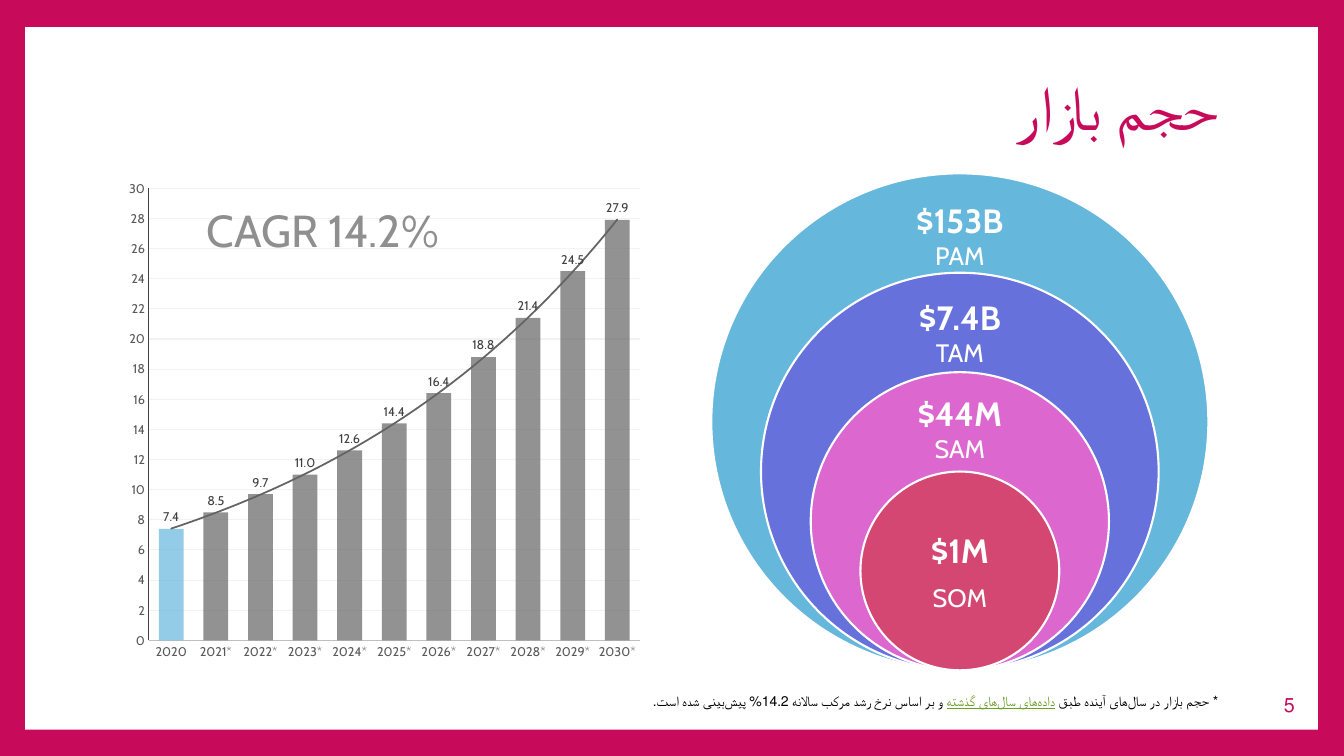
"""Build the market size slide: a growth chart beside nested market circles."""
from lxml.etree import SubElement
from pptx import Presentation
from pptx.chart.data import CategoryChartData
from pptx.dml.color import RGBColor
from pptx.enum.chart import XL_CHART_TYPE, XL_LABEL_POSITION, XL_TICK_MARK
from pptx.enum.shapes import MSO_SHAPE
from pptx.enum.text import MSO_ANCHOR, PP_ALIGN
from pptx.oxml import parse_xml
from pptx.oxml.ns import nsdecls, qn
from pptx.util import Inches, Pt

WIDTH, HEIGHT = 13.33, 7.5
COLORS = {
    "brand": "C80A5A", "white": "FFFFFF", "black": "000000", "link": "6B9F25",
    "bar": "646464", "first_bar": "66B7DC", "growth": "8F8F8F", "label": "404040",
    "tick": "595959", "baseline": "BFBFBF", "grid": "F2F2F2",
    "PAM": "66B7DC", "TAM": "6771DC", "SAM": "DC67CE", "SOM": "D54773",
}
NON_JOINER = chr(0x200C)
YEARS_WORD = f"سال{NON_JOINER}های"
TITLE = "حجم بازار"
FOOTNOTE = [
    (f"* حجم بازار در {YEARS_WORD} آینده طبق ", {}),
    (f"داده{NON_JOINER}های {YEARS_WORD} گذشته", {"color": "link", "underline": True}),
    (f" و بر اساس نرخ رشد مرکب سالانه 14.2% پیش{NON_JOINER}بینی شده است.", {}),
]
GROWTH = "CAGR 14.2%"
PAGE = "5"
MARKETS = [("$153B", "PAM"), ("$7.4B", "TAM"), ("$44M", "SAM"), ("$1M", "SOM")]
LABEL_BOXES = [(1.96, 0.74), (2.94, 0.71), (3.91, 0.67), (5.17, 0.99)]
SIZES = [7.4, 8.5, 9.7, 11, 12.6, 14.4, 16.4, 18.8, 21.4, 24.5, 27.9]
YEARS = ["2020"] + [f"{year}*" for year in range(2021, 2031)]

CONTENT_LEFT, CONTENT_TOP, CONTENT_RIGHT = 1.16, 1.72, 12.18
CONTENT_HEIGHT = 4.93
CIRCLE_CENTER = 9.52
LABEL_WIDTH = 1.38
PLOT_SHARES = {"x": 0.06, "y": 0.03, "w": 0.92, "h": 0.91}


def rgb(name):
    return RGBColor.from_string(COLORS[name])


def inches(*lengths):
    return [Inches(length) for length in lengths]


def add_text(slide, box, paragraphs, size=10, font="Cabin", color="black", align=PP_ALIGN.LEFT,
             anchor=MSO_ANCHOR.TOP, rtl=False, inset=None, space_after=0):
    shape = slide.shapes.add_textbox(*inches(*box))
    frame = shape.text_frame
    frame.word_wrap = True
    frame.vertical_anchor = anchor
    if inset is not None:
        frame.margin_left = frame.margin_right = Inches(inset)
        frame.margin_top = frame.margin_bottom = Inches(inset)
    for index, runs in enumerate(paragraphs):
        paragraph = frame.add_paragraph() if index else frame.paragraphs[0]
        paragraph.alignment = align
        paragraph.space_after = Pt(space_after)
        if rtl:
            paragraph._p.get_or_add_pPr().set("rtl", "1")
        for text, style in runs:
            run = paragraph.add_run()
            run.text = text
            run.font.name = font
            run.font.size = Pt(style.get("size", size))
            run.font.bold = style.get("bold", False)
            run.font.underline = style.get("underline", False)
            run.font.color.rgb = rgb(style.get("color", color))
    return shape


def add_circle(slide, diameter, color):
    bottom = CONTENT_TOP + CONTENT_HEIGHT
    box = (CIRCLE_CENTER - diameter / 2, bottom - diameter, diameter, diameter)
    shape = slide.shapes.add_shape(MSO_SHAPE.OVAL, *inches(*box))
    shape.shadow.inherit = False
    shape.fill.solid()
    shape.fill.fore_color.rgb = rgb(color)
    shape.line.color.rgb = rgb("white")
    shape.line.width = Pt(1.5)


def add_markets(slide):
    for index, (amount, name) in enumerate(MARKETS):
        add_circle(slide, CONTENT_HEIGHT * (1 - index / 5), name)
        top, height = LABEL_BOXES[index]
        big, small = {"size": 24, "bold": True}, {"size": 18}
        if index == len(MARKETS) - 1:
            paragraphs = [[(amount, big)], [(name, small)]]
        else:
            paragraphs = [[(amount + " ", big), (name, small)]]
        add_text(slide, (CIRCLE_CENTER - LABEL_WIDTH / 2, top, LABEL_WIDTH, height), paragraphs,
                 color="white", align=PP_ALIGN.CENTER, anchor=MSO_ANCHOR.MIDDLE,
                 inset=0.19, space_after=8.4)


def style_font(font, size, color):
    font.name = "Cabin"
    font.size = Pt(size)
    font.color.rgb = rgb(color)


def style_line(line, color, width):
    line.color.rgb = rgb(color)
    line.width = Pt(width)


def fill_translucent(fill, color):
    fill.solid()
    fill.fore_color.rgb = rgb(color)
    color_element = fill._xPr.find(qn("a:solidFill"))[0]
    SubElement(color_element, qn("a:alpha")).set("val", "70000")


def add_trend(series):
    trend = parse_xml(
        f'<c:trendline {nsdecls("c", "a")}><c:spPr><a:ln w="{Pt(1.25)}" cap="rnd"><a:solidFill>'
        f'<a:srgbClr val="{COLORS["bar"]}"/></a:solidFill></a:ln></c:spPr>'
        '<c:trendlineType val="exp"/><c:dispRSqr val="0"/><c:dispEq val="0"/></c:trendline>')
    series._element.find(qn("c:cat")).addprevious(trend)


def set_plot_area(chart):
    area = chart._chartSpace.chart.plotArea
    for layout in area.findall(qn("c:layout")):
        area.remove(layout)
    modes = "".join(f'<c:{side}Mode val="edge"/>' for side in "xy")
    shares = "".join(f'<c:{side} val="{share}"/>' for side, share in PLOT_SHARES.items())
    area.insert(0, parse_xml(
        f'<c:layout {nsdecls("c")}><c:manualLayout><c:layoutTarget val="inner"/>'
        f'{modes}{shares}</c:manualLayout></c:layout>'))


def add_growth_chart(slide):
    data = CategoryChartData(number_format="0.0")
    data.categories = YEARS
    data.add_series("Series 1", SIZES)
    box = inches(CONTENT_LEFT, CONTENT_TOP, 5.29, CONTENT_HEIGHT)
    chart = slide.shapes.add_chart(XL_CHART_TYPE.COLUMN_CLUSTERED, *box, data).chart
    chart.has_title = chart.has_legend = False
    style_font(chart.font, 10, "black")
    set_plot_area(chart)

    for axis in (chart.category_axis, chart.value_axis):
        axis.major_tick_mark = axis.minor_tick_mark = XL_TICK_MARK.NONE
        style_font(axis.tick_labels.font, 9, "tick")
    style_line(chart.category_axis.format.line, "baseline", 1.25)
    value_axis = chart.value_axis
    value_axis.minimum_scale, value_axis.maximum_scale, value_axis.major_unit = 0, 30, 2
    value_axis.tick_labels.number_format = "0"
    value_axis.tick_labels.number_format_is_linked = False
    style_line(value_axis.format.line, "label", 0.75)
    style_line(value_axis.major_gridlines.format.line, "grid", 0.75)

    plot = chart.plots[0]
    plot.gap_width, plot.overlap, plot.vary_by_categories = 80, 25, False
    series = plot.series[0]
    fill_translucent(series.format.fill, "bar")
    fill_translucent(series.points[0].format.fill, "first_bar")
    labels = series.data_labels
    labels.show_value = True
    labels.number_format, labels.number_format_is_linked = "0.0", False
    labels.position = XL_LABEL_POSITION.OUTSIDE_END
    style_font(labels.font, 9, "label")
    add_trend(series)


def main():
    presentation = Presentation()
    presentation.slide_width, presentation.slide_height = inches(WIDTH, HEIGHT)
    slide = presentation.slides.add_slide(presentation.slide_layouts[6])
    slide.background.fill.solid()
    slide.background.fill.fore_color.rgb = rgb("brand")
    panel = slide.shapes.add_shape(MSO_SHAPE.RECTANGLE, *inches(0.25, 0.27, 12.82, 6.97))
    panel.shadow.inherit = False
    panel.fill.solid()
    panel.fill.fore_color.rgb = rgb("white")
    panel.line.fill.background()

    right_to_left = {"align": PP_ALIGN.RIGHT, "rtl": True}
    add_text(slide, (CONTENT_LEFT, 0.54, CONTENT_RIGHT - CONTENT_LEFT, 1.02), [[(TITLE, {})]],
             size=44, font="Roboto", color="brand", anchor=MSO_ANCHOR.MIDDLE, **right_to_left)
    add_text(slide, (2.46, 6.82, CONTENT_RIGHT - 2.46, 0.27), [FOOTNOTE], **right_to_left)
    add_markets(slide)
    add_growth_chart(slide)
    add_text(slide, (1.95, 1.96, 2.87, 0.64), [[(GROWTH, {})]], size=32, color="growth")
    add_text(slide, (11.97, 6.8, 0.97, 0.39), [[(PAGE, {})]], size=14, font="Lato",
             color="brand", anchor=MSO_ANCHOR.MIDDLE, **right_to_left)
    presentation.save("out.pptx")


if __name__ == "__main__":
    main()
